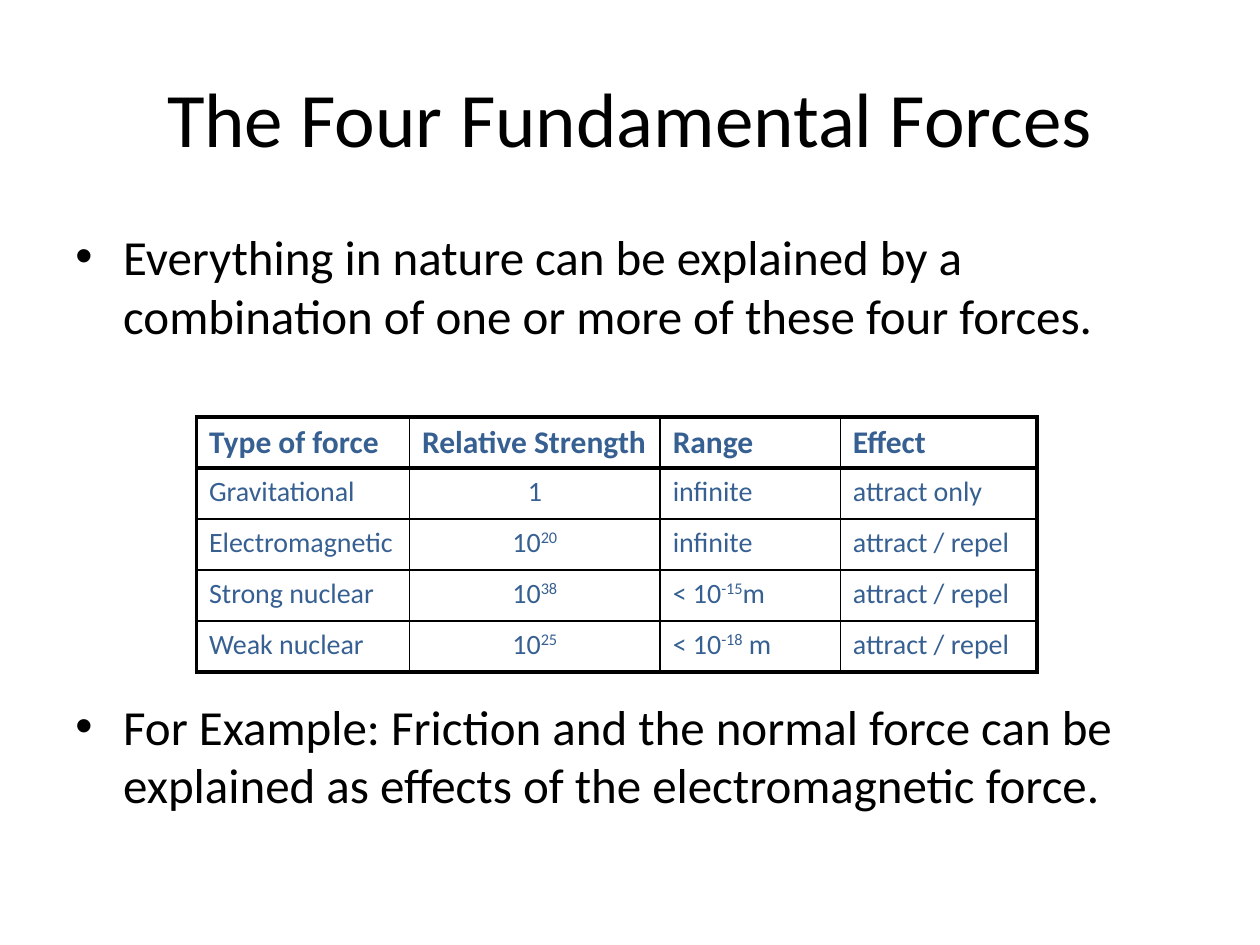
from lxml import etree
from pptx import Presentation
from pptx.dml.color import RGBColor
from pptx.enum.text import MSO_ANCHOR, PP_ALIGN
from pptx.oxml.ns import qn
from pptx.util import Inches, Pt

CENTER, LEFT = PP_ALIGN.CENTER, PP_ALIGN.LEFT
TOP, MIDDLE = MSO_ANCHOR.TOP, MSO_ANCHOR.MIDDLE
BLACK, BLUE = "000000", "376092"
COLS, ROWS = 20, 30

TITLE = {"name": "Calibri", "size": Pt(44), "color": BLACK}
BODY = {"name": "Calibri", "size": Pt(28), "color": BLACK}
HEAD = {"name": "Calibri", "size": Pt(18), "color": BLUE, "bold": True}
CELL = {"name": "Calibri", "size": Pt(16), "color": BLUE, "bold": False}
THICK, THIN = 2.25, 1

BULLETS = [
    "Everything in nature can be explained by a combination of one or more of these four forces.",
    "For Example: Friction and the normal force can be explained as effects of the electromagnetic force.",
]
FORCES = [
    ["Type of force", "Relative Strength", "Range", "Effect"],
    ["Gravitational", "1", "infinite", "attract only"],
    ["Electromagnetic", "10^20^", "infinite", "attract / repel"],
    ["Strong nuclear", "10^38^", "< 10^-15^m", "attract / repel"],
    ["Weak nuclear", "10^25^", "< 10^-18^ m", "attract / repel"],
]


def rgb(value):
    return RGBColor.from_string(value)


class Deck:
    """Builds slide elements placed on a grid of columns and rows."""

    def __init__(self, width, height):
        self.prs = Presentation()
        self.prs.slide_width, self.prs.slide_height = Inches(width), Inches(height)
        self.s = self.prs.slides.add_slide(self.prs.slide_layouts[6])

    def x(self, cols):
        return round(self.prs.slide_width * cols / COLS)

    def y(self, rows):
        return round(self.prs.slide_height * rows / ROWS)

    def add_text(self, p, text, style, align=LEFT):
        p.alignment = align
        for i, part in enumerate(text.split("^")):
            if not part:
                continue
            r = p.add_run()
            r.text = part
            for name, value in style.items():
                if name == "color":
                    r.font.color.rgb = rgb(value)
                else:
                    setattr(r.font, name, value)
            if i % 2:
                r.font._element.set("baseline", "30000")

    def box(self, left, top, width, height, anchor):
        sp = self.s.shapes.add_textbox(self.x(left), self.y(top), self.x(width), self.y(height))
        tf = sp.text_frame
        tf.word_wrap, tf.vertical_anchor = True, anchor
        return tf

    def title(self, text, *place):
        self.add_text(self.box(*place, MIDDLE).paragraphs[0], text, TITLE, CENTER)

    def bullets(self, items, gap, *place):
        tf = self.box(*place, TOP)
        for i, text in enumerate(items):
            p = tf.add_paragraph() if i else tf.paragraphs[0]
            pPr = p._p.get_or_add_pPr()
            pPr.set("marL", str(Inches(0.38)))
            pPr.set("indent", str(-Inches(0.38)))
            etree.SubElement(pPr, qn("a:buFont"), typeface="Arial")
            etree.SubElement(pPr, qn("a:buChar"), char="•")
            if i:
                p.space_before = Pt(gap)
            self.add_text(p, text, BODY)

    def border(self, cell, side, width):
        ln = etree.SubElement(cell._tc.get_or_add_tcPr(), qn(f"a:ln{side}"), w=str(Pt(width)))
        fill = etree.SubElement(ln, qn("a:solidFill"))
        etree.SubElement(fill, qn("a:srgbClr"), val=BLACK)

    def table(self, data, left, top, widths, height):
        n, m = len(data), len(widths)
        sp = self.s.shapes.add_table(n, m, self.x(left), self.y(top),
                                     self.x(sum(widths)), self.y(height * n))
        tbl = sp.table
        tbl.horz_banding = False
        for col, width in zip(tbl.columns, widths):
            col.width = self.x(width)
        for i, row in enumerate(data):
            tbl.rows[i].height = self.y(height)
            for j, text in enumerate(row):
                cell = tbl.cell(i, j)
                thick = {"L": j == 0, "R": j == m - 1, "T": i < 2, "B": i in (0, n - 1)}
                for side, is_thick in thick.items():
                    self.border(cell, side, THICK if is_thick else THIN)
                cell.fill.background()
                self.add_text(cell.text_frame.paragraphs[0], text, CELL if i else HEAD,
                              CENTER if i and j == 1 else LEFT)


def main():
    deck = Deck(10, 7.5)
    deck.title("The Four Fundamental Forces", 1, 1.2, 18, 5)
    deck.bullets(BULLETS, 201, 1, 7, 18, 21.67)
    deck.table(FORCES, 3.12, 13.24, [3.38, 3.98, 2.86, 3.12], 1.62)
    deck.prs.save("out.pptx")


if __name__ == "__main__":
    main()
